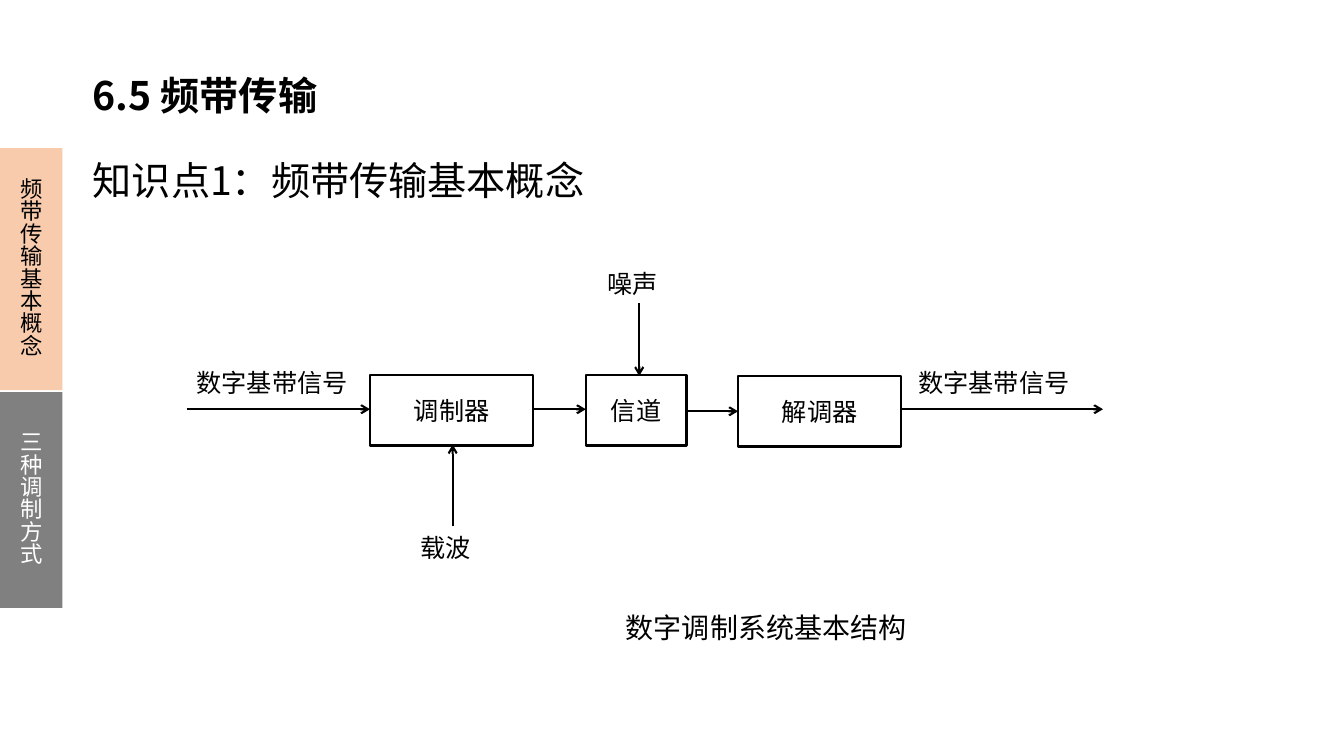
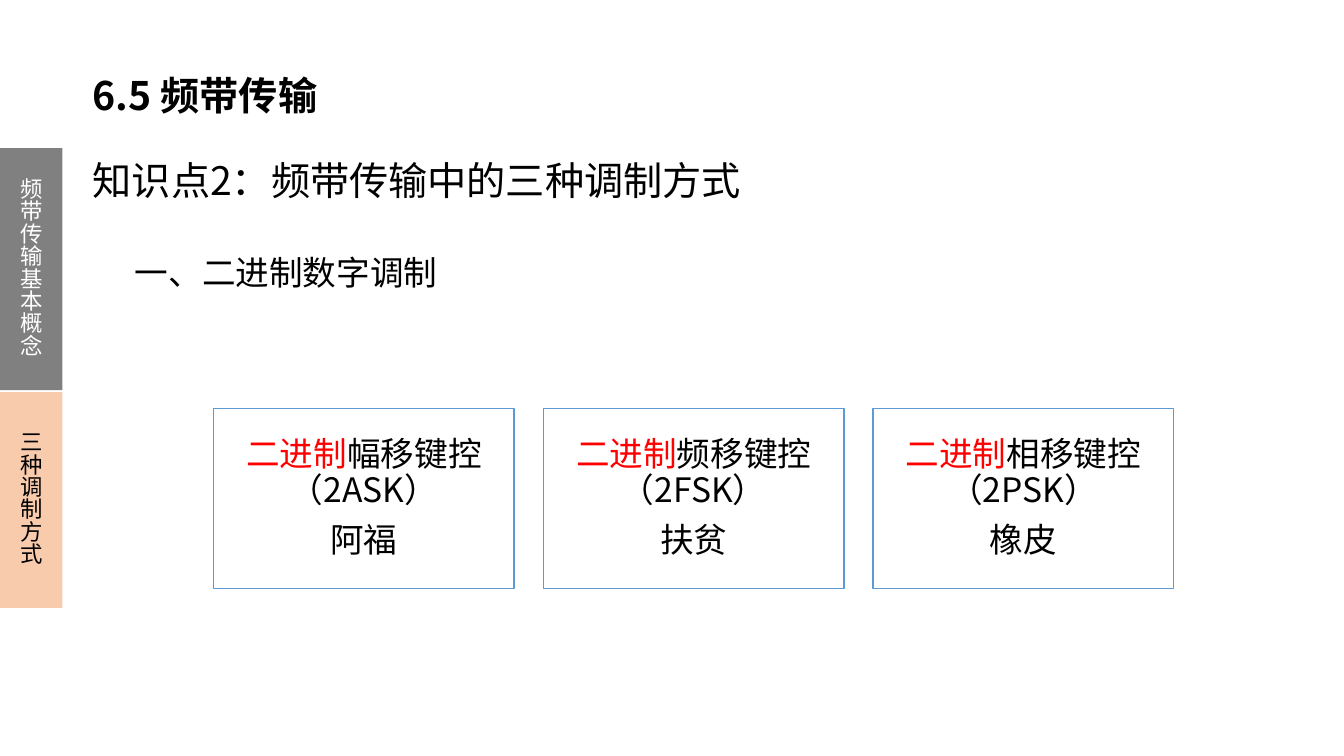
from dataclasses import dataclass

from lxml import etree
from pptx import Presentation
from pptx.dml.color import RGBColor
from pptx.enum import shapes, text
from pptx.oxml import ns
from pptx.shapes import autoshape
from pptx.slide import Slide
from pptx.text import text as body
from pptx.util import Inches, Length, Pt

FONT = "Noto Sans CJK SC"
BLACK = RGBColor(0x00, 0x00, 0x00)
WHITE = RGBColor(0xFF, 0xFF, 0xFF)
RED = RGBColor(0xFF, 0x00, 0x00)
PEACH = RGBColor(0xF8, 0xCB, 0xAD)
GRAY = RGBColor(0x80, 0x80, 0x80)
BLUE = RGBColor(0x5B, 0x9B, 0xD5)

CHAPTER = "6.5 频带传输"
HEADING_INSETS = (0.12, 0.06)
DEFAULT_INSETS = (0.1, 0.05)


@dataclass(frozen=True)
class Area:
    left: float
    top: float
    width: float
    height: float

    def lengths(self) -> tuple[Length, ...]:
        return tuple(
            Inches(value) for value in (self.left, self.top, self.width, self.height)
        )


@dataclass(frozen=True)
class Label:
    wording: str
    area: Area
    size: int = 18


@dataclass(frozen=True)
class Arrow:
    start: tuple[float, float]
    end: tuple[float, float]


@dataclass(frozen=True)
class Keying:
    name: str
    nickname: str


TABS = (
    Label("频带传输基本概念", Area(0, 1.47, 0.62, 2.4), 16),
    Label("三种调制方式", Area(0, 3.89, 0.62, 2.14), 16),
)

STAGES = (
    Label("调制器", Area(3.67, 3.72, 1.62, 0.7)),
    Label("信道", Area(5.81, 3.72, 1, 0.7)),
    Label("解调器", Area(7.32, 3.73, 1.62, 0.7)),
)

SIGNALS = (
    Label("数字基带信号", Area(1.85, 3.59, 2.04, 0.4)),
    Label("数字基带信号", Area(9.01, 3.59, 2.54, 0.4)),
    Label("噪声", Area(5.93, 2.61, 2.04, 0.4)),
    Label("载波", Area(4.07, 5.23, 2.04, 0.4)),
    Label("数字调制系统基本结构", Area(6.11, 6.01, 3.63, 0.44), 20),
)

ARROWS = (
    Arrow((1.85, 4.06), (3.67, 4.06)),
    Arrow((5.3, 4.06), (5.81, 4.06)),
    Arrow((6.81, 4.08), (7.32, 4.08)),
    Arrow((8.94, 4.06), (10.94, 4.06)),
    Arrow((6.34, 3.01), (6.34, 3.73)),
    Arrow((4.49, 5.22), (4.49, 4.41)),
)

KEYINGS = (
    Keying("幅移键控（2ASK）", "阿福"),
    Keying("频移键控（2FSK）", "扶贫"),
    Keying("相移键控（2PSK）", "橡皮"),
)
FIRST_CARD = Area(2.12, 4.05, 2.98, 1.79)
CARD_STEP = 3.27


def add_span(
    para: body._Paragraph,
    wording: str,
    size: int,
    color: RGBColor = BLACK,
    bold: bool = False,
) -> None:
    span = para.add_run()
    span.text = wording
    span.font.size = Pt(size)
    span.font.bold = bold
    span.font.color.rgb = color
    span.font.name = FONT
    properties = span.font._element
    east_asian = etree.SubElement(properties, ns.qn("a:ea"))
    east_asian.set("typeface", FONT)


def format_frame(
    frame: body.TextFrame,
    anchor: text.MSO_ANCHOR = text.MSO_ANCHOR.TOP,
    insets: tuple[float, float] = DEFAULT_INSETS,
    grows: bool = False,
) -> None:
    frame.word_wrap = True
    frame.vertical_anchor = anchor
    frame.margin_left = frame.margin_right = Inches(insets[0])
    frame.margin_top = frame.margin_bottom = Inches(insets[1])
    frame.auto_size = (
        text.MSO_AUTO_SIZE.SHAPE_TO_FIT_TEXT if grows else text.MSO_AUTO_SIZE.NONE
    )


def add_label(page: Slide, label: Label) -> body._Paragraph:
    box = page.shapes.add_textbox(*label.area.lengths())
    format_frame(box.text_frame, grows=True)
    para = box.text_frame.paragraphs[0]
    add_span(para, label.wording, label.size)
    return para


def add_box(
    page: Slide,
    area: Area,
    fill: RGBColor | None = None,
    line: RGBColor | None = None,
    weight: float = 1,
    insets: tuple[float, float] = DEFAULT_INSETS,
) -> autoshape.Shape:
    box = page.shapes.add_shape(shapes.MSO_SHAPE.RECTANGLE, *area.lengths())
    box.shadow.inherit = False
    if fill is None:
        box.fill.background()
    else:
        box.fill.solid()
        box.fill.fore_color.rgb = fill
    if line is None:
        box.line.fill.background()
    else:
        box.line.color.rgb = line
        box.line.width = Pt(weight)
    format_frame(box.text_frame, text.MSO_ANCHOR.MIDDLE, insets)
    box.text_frame.paragraphs[0].alignment = text.PP_ALIGN.CENTER
    return box


def add_arrow(page: Slide, arrow: Arrow) -> None:
    ends = (Inches(value) for value in arrow.start + arrow.end)
    connector = page.shapes.add_connector(shapes.MSO_CONNECTOR.STRAIGHT, *ends)
    connector.line.color.rgb = BLACK
    connector.line.width = Pt(1.5)
    outline = connector.line._get_or_add_ln()
    etree.SubElement(outline, ns.qn("a:tailEnd")).set("type", "arrow")
    etree.SubElement(connector._element.spPr, ns.qn("a:effectLst"))


def add_tabs(page: Slide, active: int) -> None:
    for index, tab in enumerate(TABS):
        fill, color = (PEACH, BLACK) if index == active else (GRAY, WHITE)
        para = add_box(page, tab.area, fill).text_frame.paragraphs[0]
        para.line_spacing = Pt(16)
        add_span(para, tab.wording, tab.size, color)


def add_page(deck: Presentation, topic: str, active: int) -> Slide:
    page = deck.slides.add_slide(deck.slide_layouts[5])
    title = page.shapes.title
    title.left, title.top, title.width, title.height = Area(
        0.8, 0.65, 9.65, 0.59
    ).lengths()
    format_frame(title.text_frame, insets=HEADING_INSETS, grows=True)
    para = title.text_frame.paragraphs[0]
    para.alignment = text.PP_ALIGN.LEFT
    add_span(para, CHAPTER, 28, bold=True)

    heading = page.shapes.add_textbox(*Area(0.8, 1.15, 12.16, 1.04).lengths())
    format_frame(heading.text_frame, text.MSO_ANCHOR.MIDDLE, HEADING_INSETS)
    para = heading.text_frame.paragraphs[0]
    para.line_spacing = 1.5
    add_span(para, topic, 28)
    add_tabs(page, active)
    return page


def add_keying_card(page: Slide, keying: Keying, column: int) -> None:
    area = Area(
        FIRST_CARD.left + column * CARD_STEP,
        FIRST_CARD.top,
        FIRST_CARD.width,
        FIRST_CARD.height,
    )
    frame = add_box(page, area, WHITE, BLUE, insets=(0.1, 0.1)).text_frame
    name = frame.paragraphs[0]
    name.space_after = Pt(10)
    add_span(name, "二进制", 24, RED)
    add_span(name, keying.name, 24)
    nickname = frame.add_paragraph()
    nickname.alignment = text.PP_ALIGN.CENTER
    add_span(nickname, keying.nickname, 24)
    for para in frame.paragraphs:
        para.line_spacing = 0.9


def build_concept_page(deck: Presentation) -> None:
    page = add_page(deck, "知识点1：频带传输基本概念", 0)
    for stage in STAGES:
        box = add_box(page, stage.area, line=BLACK, weight=1.5)
        add_span(box.text_frame.paragraphs[0], stage.wording, stage.size)
    for arrow in ARROWS:
        add_arrow(page, arrow)
    for signal in SIGNALS:
        add_label(page, signal)


def build_modulation_page(deck: Presentation) -> None:
    page = add_page(deck, "知识点2：频带传输中的三种调制方式", 1)
    section = Label("一、二进制数字调制", Area(1.24, 2.34, 10.94, 0.57), 24)
    add_label(page, section).line_spacing = Pt(37)
    for column, keying in enumerate(KEYINGS):
        add_keying_card(page, keying, column)


def main() -> None:
    deck = Presentation()
    deck.slide_width = Inches(13.33)
    deck.slide_height = Inches(7.5)
    build_concept_page(deck)
    build_modulation_page(deck)
    deck.save("out.pptx")


if __name__ == "__main__":
    main()
